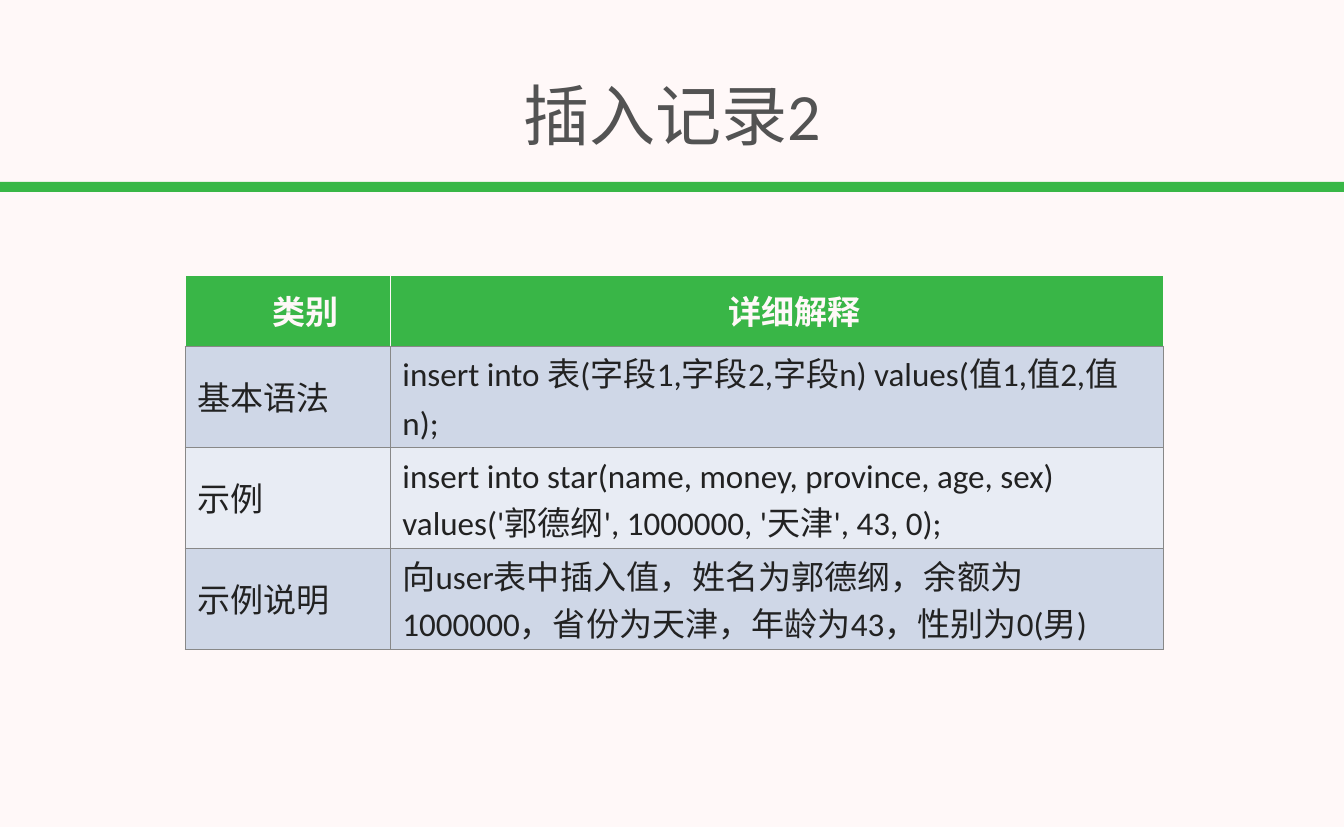
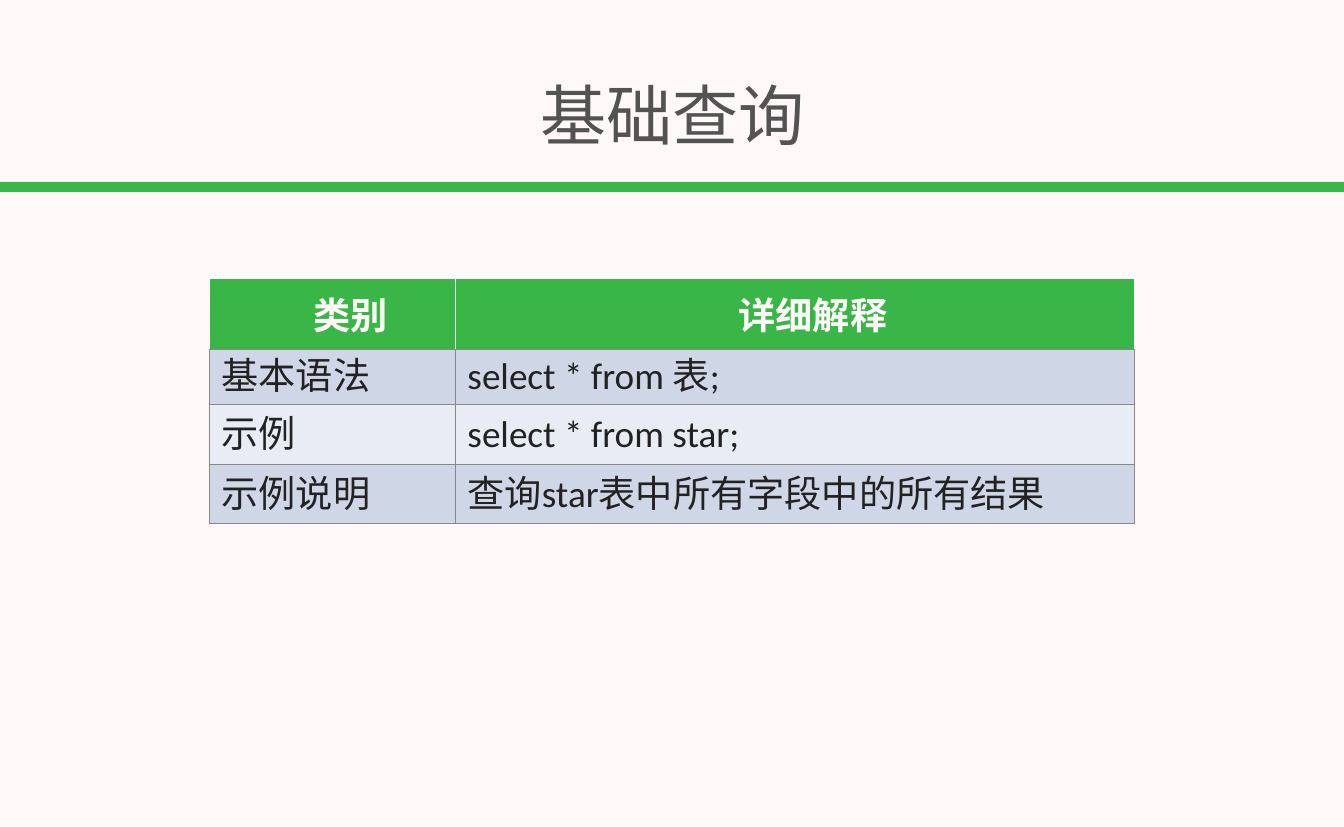
from lxml.etree import SubElement
from pptx import Presentation
from pptx.dml.color import RGBColor
from pptx.enum.shapes import MSO_SHAPE as Preset
from pptx.enum.text import MSO_ANCHOR as Anchor, MSO_AUTO_SIZE as AutoSize, PP_ALIGN as Align
from pptx.oxml.ns import qn
from pptx.util import Emu, Pt

SCALE = 914400 / 74.4
FONT = "Calibri"
PAPER, BAND, TITLE, HEADER = "FFF8F8", "39B747", "535353", "39B647"
TEXT, BORDER, ROW_FILLS = "222222", "888888", ["E8ECF4", "CFD7E7"]
ROW_HEIGHTS = [71, 55, 60, 60]
HEADINGS = ("类别", "详细解释")

SLIDES = [
    {
        "title": "插入记录2", "left": 185, "top": 275, "columns": [205, 773], "size": 32,
        "rows": [
            ("基本语法", "insert into 表(字段1,字段2,字段n) values(值1,值2,值n);"),
            ("示例", "insert into star(name, money, province, age, sex) "
                   "values('郭德纲', 1000000, '天津', 43, 0);"),
            ("示例说明", "向user表中插入值，姓名为郭德纲，余额为1000000，"
                     "省份为天津，年龄为43，性别为0(男)"),
        ],
    },
    {
        "title": "基础查询", "left": 209, "top": 278, "columns": [246, 679], "size": 36,
        "rows": [
            ("基本语法", "select * from 表;"),
            ("示例", "select * from star;"),
            ("示例说明", "查询star表中所有字段中的所有结果"),
        ],
    },
]


def px(pixels):
    return Emu(round(pixels * SCALE))


def add_run(paragraph, text, size, color, bold=False):
    run = paragraph.add_run()
    run.text = text
    run.font.name = FONT
    run.font.size = Pt(size)
    run.font.bold = bold
    run.font.color.rgb = RGBColor.from_string(color)


presentation = Presentation()
presentation.slide_width, presentation.slide_height = px(1344), px(827)
layout = presentation.slide_layouts[5]

# Shared background
background = presentation.slide_master.background.fill
background.solid()
background.fore_color.rgb = RGBColor.from_string(PAPER)

for content in SLIDES:
    slide = presentation.slides.add_slide(layout)

    # Title
    title = slide.shapes.title
    title.left, title.top, title.width, title.height = px(4), px(61), px(1337), px(106)
    frame = title.text_frame
    frame.auto_size = AutoSize.NONE
    frame.word_wrap = True
    frame.vertical_anchor = Anchor.MIDDLE
    frame.margin_left = frame.margin_right = frame.margin_top = frame.margin_bottom = px(4)
    frame.paragraphs[0].alignment = Align.CENTER
    add_run(frame.paragraphs[0], content["title"], 64, TITLE)

    # Band under the title
    band = slide.shapes.add_shape(Preset.RECTANGLE, px(-1), px(182), px(1345), px(10))
    band.shadow.inherit = False
    band.fill.solid()
    band.fill.fore_color.rgb = RGBColor.from_string(BAND)
    band.line.fill.background()

    # Table
    rows = [HEADINGS] + content["rows"]
    table = slide.shapes.add_table(
        len(rows), len(HEADINGS), px(content["left"]), px(content["top"]),
        px(sum(content["columns"])), px(sum(ROW_HEIGHTS))).table
    table.horz_banding = False
    for column, width in zip(table.columns, content["columns"]):
        column.width = px(width)

    for row_index, (row, texts) in enumerate(zip(table.rows, rows)):
        row.height = px(ROW_HEIGHTS[row_index])
        is_header = row_index == 0
        for cell, text in zip(row.cells, texts):
            # Cell borders come before the fill in the XML
            properties = cell._tc.get_or_add_tcPr()
            for side in ("lnL", "lnR", "lnT", "lnB"):
                line = SubElement(properties, qn("a:" + side), w=str(Pt(1)))
                color = PAPER if is_header and side != "lnB" else BORDER
                SubElement(SubElement(line, qn("a:solidFill")), qn("a:srgbClr"), val=color)
            cell.fill.solid()
            cell.fill.fore_color.rgb = RGBColor.from_string(
                HEADER if is_header else ROW_FILLS[row_index % 2])

            # Cell text
            cell.vertical_anchor = Anchor.MIDDLE
            cell.margin_left = cell.margin_right = px(0 if is_header else 12.5)
            cell.margin_top = cell.margin_bottom = px(0 if is_header else 3)
            paragraph = cell.text_frame.paragraphs[0]
            if is_header:
                paragraph.alignment = Align.CENTER
                indents = paragraph._p.get_or_add_pPr()
                indents.set("marL", "0")
                indents.set("indent", str(px(37)))
            else:
                paragraph.alignment = Align.LEFT
                paragraph.line_spacing = Pt(46)
            add_run(paragraph, text, content["size"], PAPER if is_header else TEXT, is_header)

presentation.save("out.pptx")
